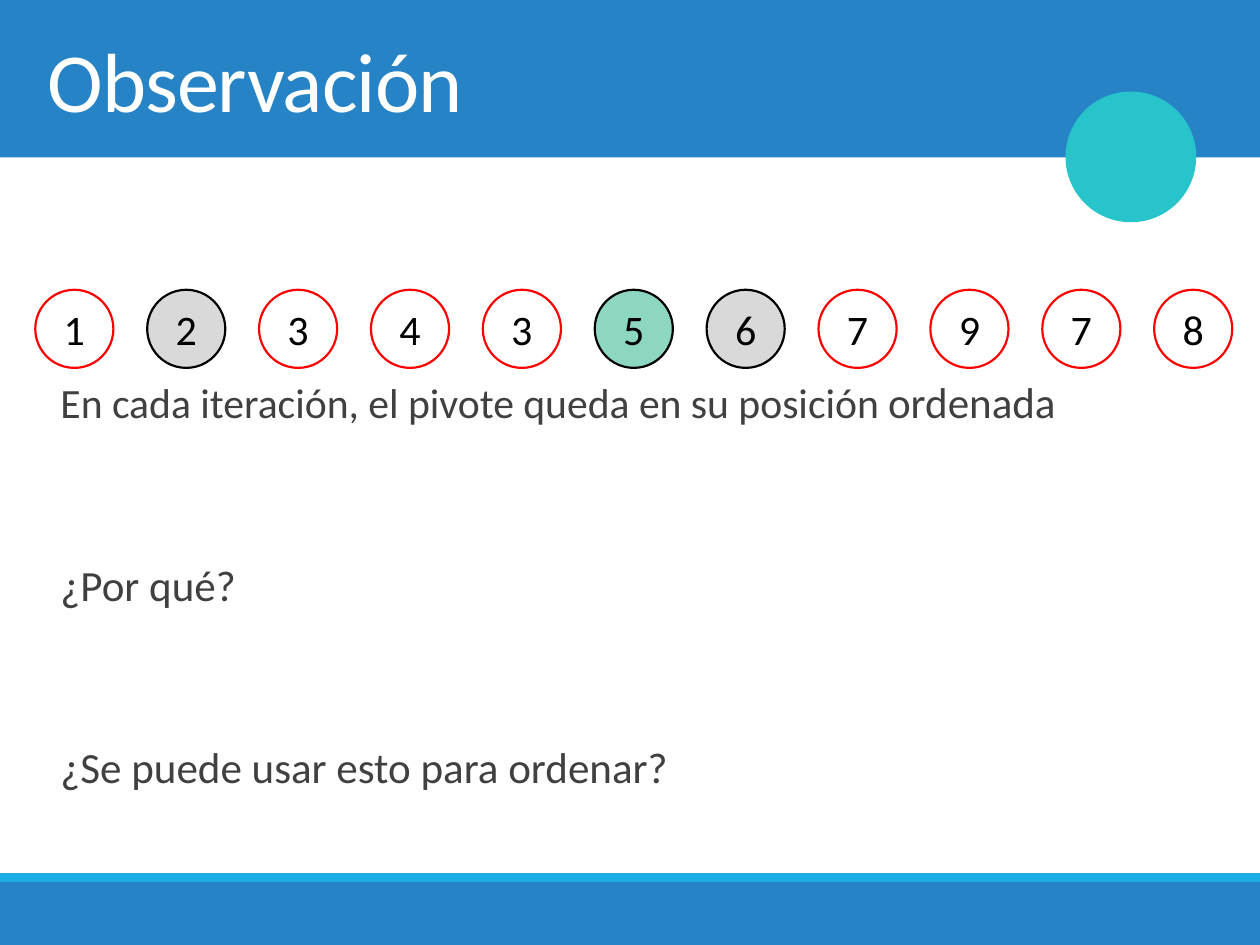
from pptx import Presentation
from pptx.dml.color import RGBColor
from pptx.enum.shapes import MSO_SHAPE as Preset
from pptx.enum.text import MSO_ANCHOR as Anchor, PP_ALIGN as Align
from pptx.util import Inches, Pt

BLUE, SKY, TEAL = "2683C6", "1CADE4", "28C4CC"
WHITE, BLACK, RED = "FFFFFF", "000000", "FF0000"
GRAY, PIVOT_GREEN, TEXT_GRAY = "D9D9D9", "8DD6C1", "404040"


def color(value):
    return RGBColor.from_string(value)


def add_run(paragraph, text, size, text_color):
    run = paragraph.add_run()
    run.text = text
    run.font.name = "Calibri"
    run.font.size = Pt(size)
    run.font.color.rgb = color(text_color)
    return run


def add_figure(slide, preset, box, fill, line=None, width=1.25):
    figure = slide.shapes.add_shape(preset, *map(Inches, box))
    figure.shadow.inherit = False
    figure.fill.solid()
    figure.fill.fore_color.rgb = color(fill)
    if line:
        figure.line.color.rgb = color(line)
        figure.line.width = Pt(width)
    else:
        figure.line.fill.background()
    return figure


def add_number(slide, left, number, fill, line):
    circle = add_figure(slide, Preset.OVAL, (left, 2.3, 0.62, 0.62), fill, line)
    frame = circle.text_frame
    frame.word_wrap = False
    frame.vertical_anchor = Anchor.MIDDLE
    frame.margin_left = frame.margin_right = 0
    frame.paragraphs[0].alignment = Align.CENTER
    add_run(frame.paragraphs[0], number, 24, BLACK)


def add_frame(slide, box, anchor):
    frame = slide.shapes.add_textbox(*map(Inches, box)).text_frame
    frame.word_wrap = True
    frame.vertical_anchor = anchor
    return frame


def add_title(slide, text):
    frame = add_frame(slide, (0.28, 0, 9.45, 1.25), Anchor.MIDDLE)
    title = add_run(frame.paragraphs[0], text, 48, WHITE)
    title.font._element.set("spc", "-50")


def add_body(slide, statements):
    frame = add_frame(slide, (0.28, 1.47, 9.45, 5.2), Anchor.BOTTOM)
    frame.margin_left = Inches(0.2)
    frame.margin_bottom = Inches(0.38)
    for index, runs in enumerate(statements):
        paragraph = frame.add_paragraph() if index else frame.paragraphs[0]
        paragraph.line_spacing = 1.3
        paragraph.space_before = Pt(66 if index else 0)
        paragraph.space_after = Pt(0)
        for text, size in runs:
            add_run(paragraph, text, size, TEXT_GRAY)


def main():
    deck = Presentation()
    deck.slide_width, deck.slide_height = Inches(10), Inches(7.5)
    slide = deck.slides.add_slide(deck.slide_layouts[6])

    for top, height, fill in ((0, 1.25, BLUE), (7, 0.5, BLUE), (6.93, 0.07, SKY)):
        add_figure(slide, Preset.RECTANGLE, (0, top, 10, height), fill)
    add_figure(slide, Preset.OVAL, (8.47, 0.74, 1.01, 1.01), TEAL, TEAL, 2)

    add_title(slide, "Observación")
    add_body(slide, [
        [("En cada iteración, el pivote queda en su posición ", 23.8), ("ordenada", 24.6)],
        [("¿Por qué?", 24.6)],
        [("¿Se puede usar esto para ordenar?", 24.6)],
    ])

    placed = {"2": GRAY, "5": PIVOT_GREEN, "6": GRAY}
    for index, number in enumerate("12343567978"):
        fill = placed.get(number, WHITE)
        line = BLACK if number in placed else RED
        add_number(slide, 0.28 + index * 8.88 / 10, number, fill, line)

    deck.save("out.pptx")


main()
